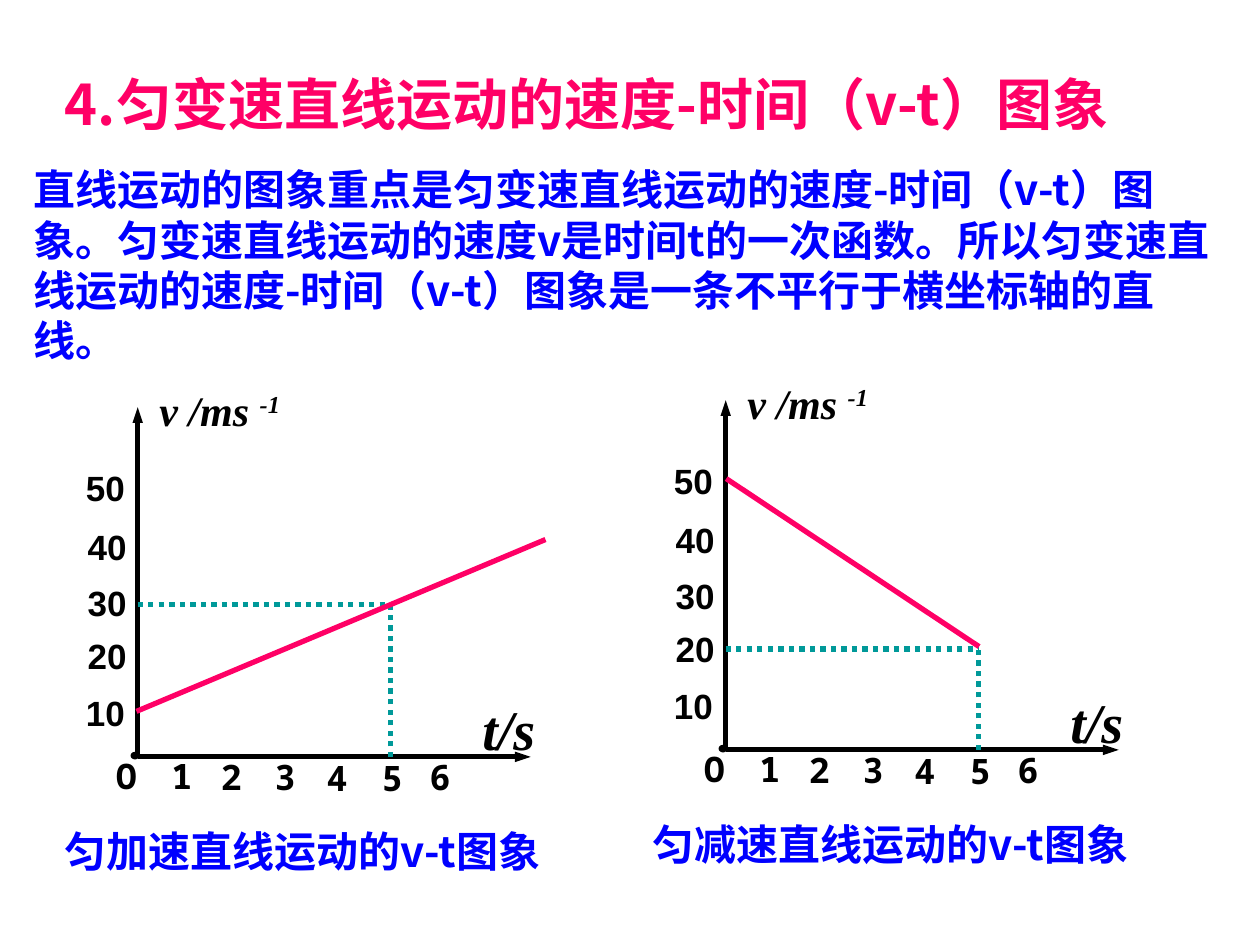
from pptx import Presentation
from pptx.dml.color import RGBColor
from pptx.enum.dml import MSO_LINE
from pptx.enum.shapes import MSO_CONNECTOR, MSO_SHAPE
from pptx.oxml.ns import qn
from pptx.util import Pt
from lxml import etree

STRAIGHT = MSO_CONNECTOR.STRAIGHT
OVAL = MSO_SHAPE.OVAL
DOTTED = MSO_LINE.ROUND_DOT
BLACK, PINK, BLUE, TEAL = "000000", "FF0066", "0000FF", "009999"
CHINESE, MONO, SERIF, SANS = "Noto Sans CJK SC", "Noto Sans Mono", "Times New Roman", "Arial"
TIME_LABELS = ((68, 215.2), (96.3, 215.8), (127, 215.8), (156.6, 216.5), (188.2, 216.5), (215.5, 215.8))
SPEED_LABELS = ((12, 175.7), (13, 143.2), (13, 113), (13, 80.8), (12, 47))


def color(value):
    """Turn a hex string into a colour."""
    return RGBColor.from_string(value)


def add_text(shapes, box, text, size, typeface, text_color=BLACK, italic=False, margins=(7.2, 3.6)):
    """Add a bold one-paragraph text box and return its paragraph."""
    frame = shapes.add_textbox(*map(Pt, box)).text_frame
    frame.word_wrap = True
    frame.margin_left = frame.margin_right = Pt(margins[0])
    frame.margin_top = frame.margin_bottom = Pt(margins[1])
    paragraph = frame.paragraphs[0]
    paragraph.add_run().text = text
    font = paragraph.font
    font.size, font.bold, font.italic, font.name = Pt(size), True, italic, typeface
    font.color.rgb = color(text_color)
    properties = paragraph._p.get_or_add_pPr()
    properties.set("hangingPunct", "0")
    etree.SubElement(properties.find(qn("a:defRPr")), qn("a:ea"), typeface=typeface)
    return paragraph


def add_line(shapes, start, end, line_color, dash=None, arrow=False):
    """Add a straight 3-point line, optionally dotted or with an arrowhead."""
    connector = shapes.add_connector(STRAIGHT, *map(Pt, (*start, *end)))
    connector.line.width = Pt(3)
    connector.line.color.rgb = color(line_color)
    if dash:
        connector.line.dash_style = dash
    if arrow:
        etree.SubElement(connector.line._get_or_add_ln(), qn("a:tailEnd"), type="triangle", w="sm", len="med")
    etree.SubElement(connector._element.spPr, qn("a:effectLst"))


def add_graph(slide, left, top, caption, trend, marked_point):
    """Draw one velocity-time graph with its box's corner at left, top."""
    shapes = slide.shapes.add_group_shape().shapes

    def place(x, y):
        return left + x, top + y

    axis_x, axis_y = 48.7, 216.5
    dot = shapes.add_shape(OVAL, *map(Pt, (*place(45, 214), 4.3, 3.6)))
    dot.shadow.inherit = False
    dot.fill.solid()
    dot.fill.fore_color.rgb = color(BLACK)
    dot.line.color.rgb = color(BLACK)
    dot.line.width = Pt(0.75)

    for end in ((axis_x, 16.7), (273.3, axis_y)):
        add_line(shapes, place(axis_x, axis_y), place(*end), BLACK, arrow=True)
    marked_x, marked_y = marked_point
    for foot in ((axis_x, marked_y), (marked_x, axis_y)):
        add_line(shapes, place(*foot), place(*marked_point), TEAL, dash=DOTTED)
    add_line(shapes, place(*trend[0]), place(*trend[1]), PINK)

    unit = add_text(shapes, (*place(54, 0), 90, 60), "v /ms ", 24, SERIF, italic=True)
    exponent = unit.add_run()
    exponent.text = "-1"
    exponent.font._element.set("baseline", "30000")
    add_text(shapes, (*place(238.5, 177.5), 82, 62), "t/s", 32, SERIF, italic=True)

    add_text(shapes, (*place(36.2, 215), 30, 26), "O", 20, MONO, margins=(0, 0))
    for number, corner in enumerate(TIME_LABELS, 1):
        add_text(shapes, (*place(*corner), 21.6, 29.5), str(number), 20, MONO, margins=(0, 0))
    for number, corner in enumerate(SPEED_LABELS, 1):
        add_text(shapes, (*place(*corner), 54, 31.7), str(10 * number), 20, SANS)
    add_text(shapes, (*place(0, 252), 300, 36), caption, 24, CHINESE, BLUE)


def add_introduction(slide, left, top):
    """Add the heading and the explanation below it."""
    add_text(slide.shapes, (left + 18, top, 678, 46),
             "4.匀变速直线运动的速度-时间（v-t）图象", 32, CHINESE, PINK)
    add_text(slide.shapes, (left, top + 54, 702, 94),
             "直线运动的图象重点是匀变速直线运动的速度-时间（v-t）图象。"
             "匀变速直线运动的速度v是时间t的一次函数。"
             "所以匀变速直线运动的速度-时间（v-t）图象是一条不平行于横坐标轴的直线。",
             24, CHINESE, BLUE)


def main():
    """Build and save the slide."""
    presentation = Presentation()
    presentation.slide_width, presentation.slide_height = Pt(720), Pt(540)
    slide = presentation.slides.add_slide(presentation.slide_layouts[6])
    add_introduction(slide, 12, 36)
    add_graph(slide, 30, 216, "匀加速直线运动的v-t图象", ((48, 190.5), (281.7, 92.3)), (193.3, 129.5))
    add_graph(slide, 366, 212, "匀减速直线运动的v-t图象", ((49, 61.5), (193.5, 157.5)), (193.3, 158.8))
    presentation.save("out.pptx")


if __name__ == "__main__":
    main()
